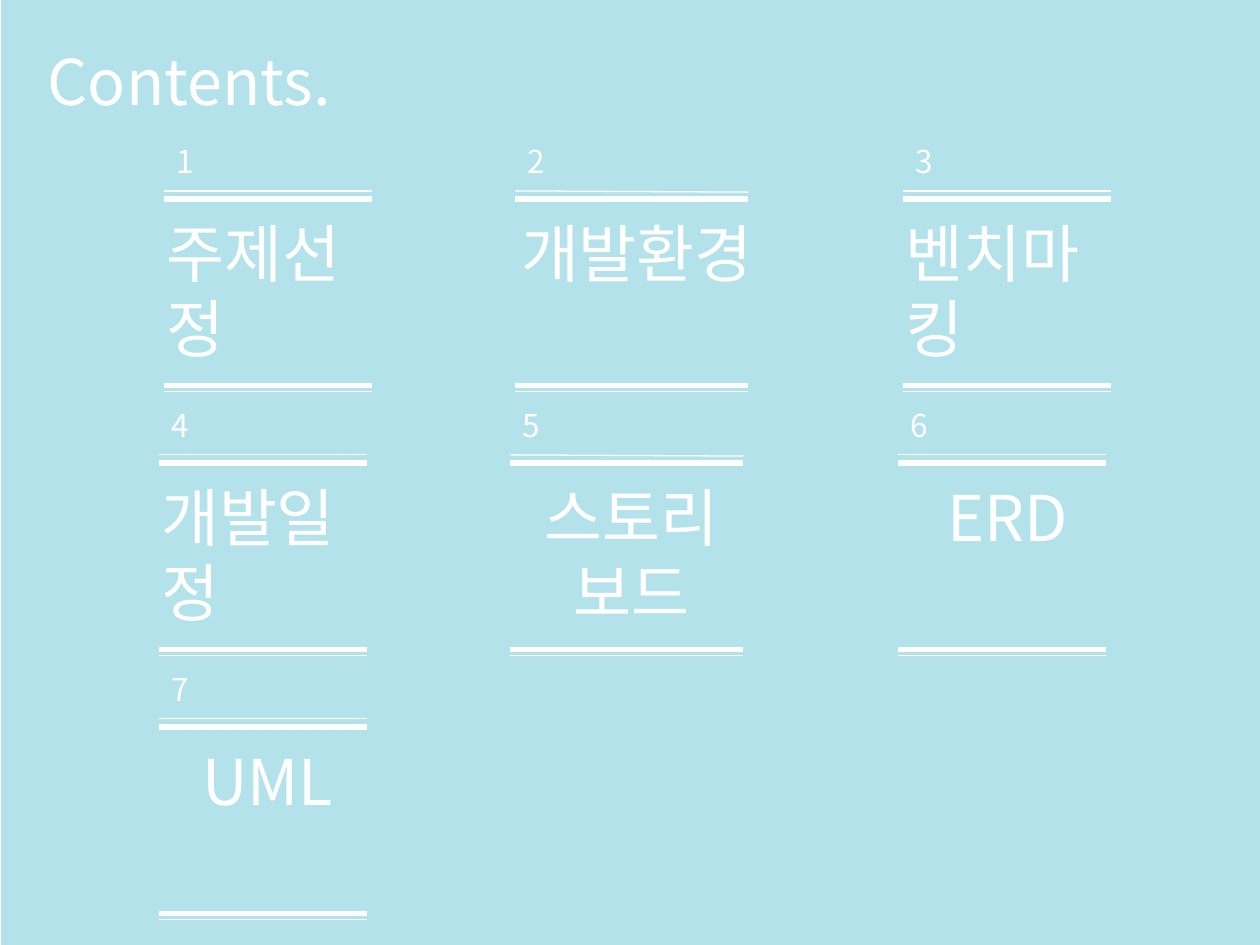
from pptx import Presentation
from pptx.dml.color import RGBColor
from pptx.enum.shapes import MSO_CONNECTOR, MSO_SHAPE
from pptx.enum.text import MSO_AUTO_SIZE, PP_ALIGN
from pptx.oxml.ns import qn
from pptx.util import Inches, Pt
from lxml import etree

WHITE = RGBColor(0xFF, 0xFF, 0xFF)
SKY = RGBColor(0xB3, 0xE2, 0xEB)
FONT = "Noto Sans CJK KR"
LEFT, CENTER = PP_ALIGN.LEFT, PP_ALIGN.CENTER
STRAIGHT = MSO_CONNECTOR.STRAIGHT
RECTANGLE = MSO_SHAPE.RECTANGLE
GROW = MSO_AUTO_SIZE.SHAPE_TO_FIT_TEXT

SLIDE_WIDTH, SLIDE_HEIGHT = Inches(10), Inches(7.5)
GRID_COLUMNS, GRID_ROWS = 100, 75
CARD_COLUMNS = [(13, 16.5, 0), (40.9, 18.5, 0.1), (71.7, 16.5, 0)]
FIRST_ROW, ROW_PITCH = 10.8, 20.95
LOWER_ROW_SHIFT = 0.4
TITLE_OVERHANG = 0.8
THIN, THICK = 0.75, 3
CARDS = [
    ("주제선정", LEFT),
    ("개발환경", CENTER),
    ("벤치마킹", LEFT),
    ("개발일정", LEFT),
    ("스토리\n보드", CENTER),
    ("ERD", CENTER),
    ("UML", CENTER),
]


class ContentsSlide:
    def __init__(self, presentation):
        self.slide = presentation.slides.add_slide(presentation.slide_layouts[6])
        self.column = presentation.slide_width / GRID_COLUMNS
        self.row = presentation.slide_height / GRID_ROWS

    def place(self, left, top, width, height):
        return (round(left * self.column), round(top * self.row),
                round(width * self.column), round(height * self.row))

    def panel(self, left, top, width, height, color):
        shape = self.slide.shapes.add_shape(
            RECTANGLE, *self.place(left, top, width, height))
        shape.shadow.inherit = False
        shape.fill.solid()
        shape.fill.fore_color.rgb = color
        shape.line.fill.background()

    def text(self, words, left, top, width, height, size, alignment=LEFT):
        box = self.slide.shapes.add_textbox(*self.place(left, top, width, height))
        frame = box.text_frame
        frame.word_wrap = True
        frame.auto_size = GROW
        frame.text = words
        for paragraph in frame.paragraphs:
            paragraph.alignment = alignment
            for run in paragraph.runs:
                run.font.name = FONT
                run.font.size = Pt(size)
                run.font.color.rgb = WHITE
                properties = run.font._element
                east_asian = etree.SubElement(properties, qn("a:ea"))
                east_asian.set("typeface", FONT)

    def rule(self, left, top, width, weight, slant=0):
        start_x, start_y, run_x, run_y = self.place(left, top, width, slant)
        line = self.slide.shapes.add_connector(
            STRAIGHT, start_x, start_y, start_x + run_x, start_y + run_y)
        line.line.color.rgb = WHITE
        line.line.width = Pt(weight)
        etree.SubElement(line._element.spPr, qn("a:effectLst"))

    def card(self, number, title, alignment, left, top, width, slant):
        self.rule(left, top + 20.25, width, THIN)
        title_height = 13.1 if "\n" in title else 7.1
        self.text(title, left - TITLE_OVERHANG, top + 5.7,
                  width + 3 * TITLE_OVERHANG, title_height, 36, alignment)
        self.rule(left, top + 4.35, width, THIN, slant)
        self.rule(left, top + 19.8, width, THICK)
        self.rule(left, top + 5, width, THICK)
        self.text(str(number), left, top, 12.6, 4, 18)


def main():
    presentation = Presentation()
    presentation.slide_width = SLIDE_WIDTH
    presentation.slide_height = SLIDE_HEIGHT

    contents = ContentsSlide(presentation)
    contents.panel(0.1, 0, GRID_COLUMNS, GRID_ROWS, SKY)
    contents.text("Contents.", 2.8, 2.9, 50.8, 7.1, 36)

    for index, (title, alignment) in enumerate(CARDS):
        row, column = divmod(index, len(CARD_COLUMNS))
        left, width, slant = CARD_COLUMNS[column]
        if row:
            left -= LOWER_ROW_SHIFT
        top = FIRST_ROW + row * ROW_PITCH
        contents.card(index + 1, title, alignment, left, top, width, slant)

    presentation.save("out.pptx")


if __name__ == "__main__":
    main()
